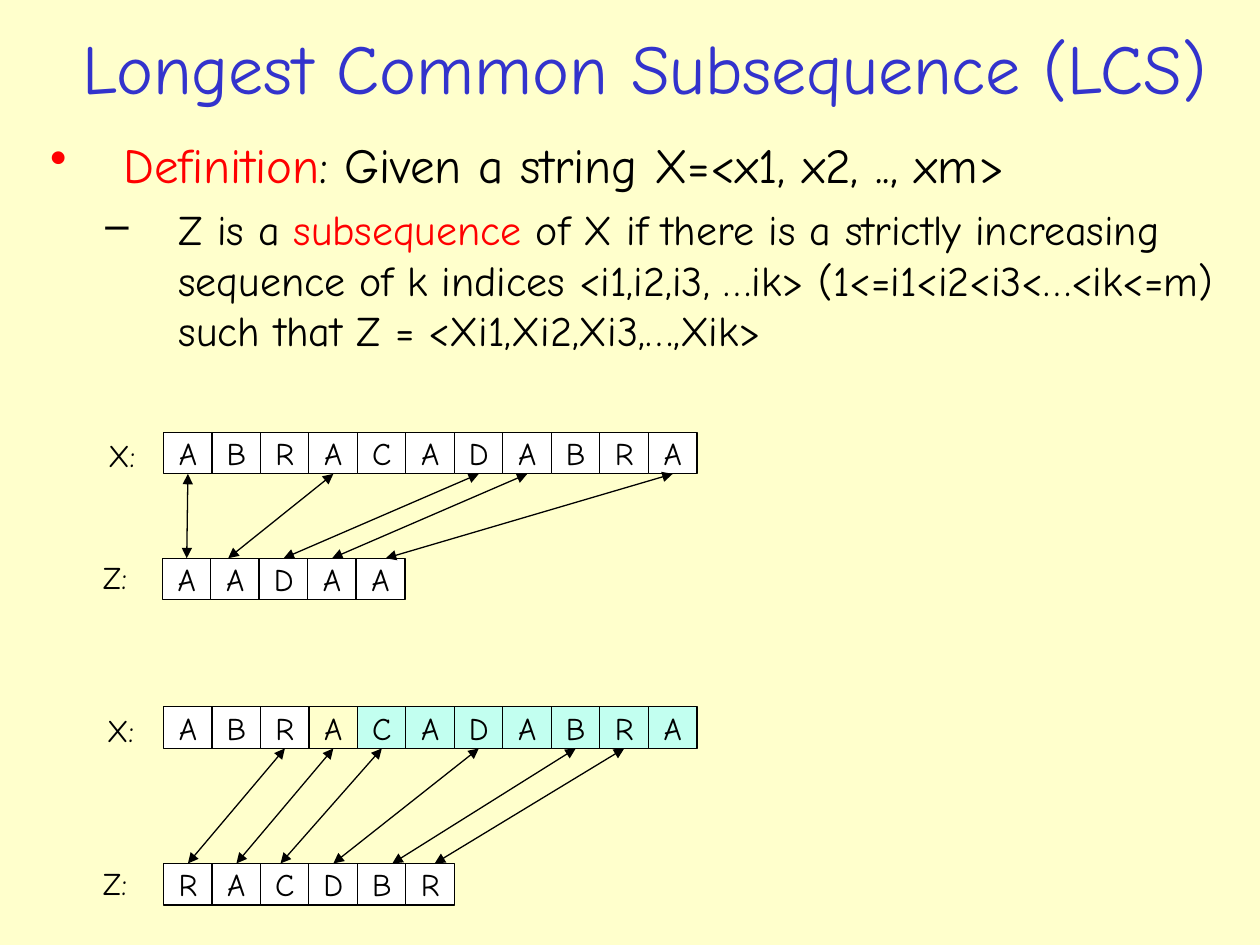
"""Build the slide defining a subsequence, with two worked letter-matching examples."""
import pptx
import pptx.util
import pptx.dml.color
import pptx.enum.shapes
import pptx.enum.text
import pptx.oxml.ns
import lxml.etree

Pt = pptx.util.Pt
FONT = "Comic Neue"
PITCH, CELL_WIDTH, CELL_HEIGHT = 27.7, 28, 23.8


def rgb(value):
    return pptx.dml.color.RGBColor.from_string(value)


def add_element(parent, tag, **attributes):
    element = lxml.etree.SubElement(parent, pptx.oxml.ns.qn(tag))
    for key, value in attributes.items():
        element.set(key, value)
    return element


presentation = pptx.Presentation()
presentation.slide_width, presentation.slide_height = Pt(720), Pt(540)
slide = presentation.slides.add_slide(presentation.slide_layouts[5])
slide.background.fill.solid()
slide.background.fill.fore_color.rgb = rgb("FFFFCC")

title = slide.shapes.title
title.left, title.top, title.width, title.height = Pt(21.6), Pt(10.8), Pt(693.4), Pt(54.7)
title.text_frame.text = "Longest Common Subsequence (LCS)"
title.text_frame.vertical_anchor = pptx.enum.text.MSO_ANCHOR.MIDDLE
heading = title.text_frame.paragraphs[0]
heading.alignment = pptx.enum.text.PP_ALIGN.CENTER
heading.font.name, heading.font.size = FONT, Pt(40)
heading.font.color.rgb = rgb("3333CC")

definition = slide.shapes.add_textbox(Pt(21.6), Pt(73.4), Pt(685.4), Pt(155.5)).text_frame
definition.word_wrap = True
statements = [
    (28, 41.8, 0, "•", "FF0000",
     [("Definition", "FF0000"), (": Given a string X=<x1, x2, .., xm>", "000000")]),
    (24, 73.4, 6, "–", "000000",
     [("Z is a ", "000000"), ("subsequence", "FF0000"),
      (" of X if there is a strictly increasing sequence of k indices "
       "<i1,i2,i3, …ik> (1<=i1<i2<i3<…<ik<=m) such that Z = <Xi1,Xi2,Xi3,…,Xik>", "000000")]),
]
for level, (size, margin, space, bullet, bullet_color, pieces) in enumerate(statements):
    statement = definition.add_paragraph() if level else definition.paragraphs[0]
    statement.level = level
    statement.space_before = Pt(space)
    properties = statement._p.get_or_add_pPr()
    properties.set("marL", str(Pt(margin)))
    properties.set("indent", str(Pt(-41.8)))
    add_element(add_element(properties, "a:buClr"), "a:srgbClr", val=bullet_color)
    add_element(properties, "a:buChar", char=bullet)
    statement.font.name, statement.font.size = FONT, Pt(size)
    for words, color in pieces:
        run = statement.add_run()
        run.text = words
        run.font.color.rgb = rgb(color)

WHITE, MINT = "FFFFFF", "C2FFF0"
examples = [
    (("ABRACADABRA", 93.4, 247, [WHITE] * 11, 54.7, 245.5),
     ("AADAA", 92.7, 319, [WHITE] * 5, 51.8, 315.4),
     [(0, 0, 0), (3, 1, -4), (6, 2, 0), (7, 3, 0), (10, 4, 3)]),
    (("ABRACADABRA", 93.4, 403.9, [WHITE] * 3 + [None] + [MINT] * 7, 54, 402.5),
     ("RACDBR", 93.4, 493.4, [WHITE] * 6, 51.8, 490.3),
     [(2, 0, 0), (3, 1, 0), (4, 2, -2.5), (6, 3, 0), (8, 4, 6), (9, 5, 2.5)]),
]
for string_row, subsequence_row, matches in examples:
    rows = []
    for name, (letters, left, top, fills, name_left, name_top) in zip(
            ("X:", "Z:"), (string_row, subsequence_row)):
        row_name = slide.shapes.add_textbox(Pt(name_left), Pt(name_top), Pt(30), Pt(28.8))
        row_name.text_frame.word_wrap = False
        row_name.text_frame.margin_right = Pt(0)
        row_name.text_frame.text = name
        name_font = row_name.text_frame.paragraphs[0].font
        name_font.name, name_font.size = FONT, Pt(18)
        name_font.color.rgb = rgb("000000")

        cells = []
        for index, (letter, fill) in enumerate(zip(letters, fills)):
            cell = slide.shapes.add_shape(
                pptx.enum.shapes.MSO_SHAPE.RECTANGLE, Pt(left + index * PITCH), Pt(top),
                Pt(CELL_WIDTH), Pt(CELL_HEIGHT))
            cell.shadow.inherit = False
            if fill:
                cell.fill.solid()
                cell.fill.fore_color.rgb = rgb(fill)
            else:
                cell.fill.background()
            cell.line.color.rgb = rgb("000000")
            cell.line.width = Pt(0.75)
            cell.text_frame.word_wrap = False
            cell.text_frame.vertical_anchor = pptx.enum.text.MSO_ANCHOR.MIDDLE
            cell.text_frame.text = letter
            symbol = cell.text_frame.paragraphs[0]
            symbol.alignment = pptx.enum.text.PP_ALIGN.CENTER
            symbol.font.name, symbol.font.size = FONT, Pt(18)
            symbol.font.color.rgb = rgb("000000")
            cells.append(cell)
        rows.append(cells)

    for source_index, target_index, drift in matches:
        source, target = rows[0][source_index], rows[1][target_index]
        match = slide.shapes.add_connector(
            pptx.enum.shapes.MSO_CONNECTOR.STRAIGHT,
            source.left + source.width // 2, source.top + source.height,
            target.left + target.width // 2 + Pt(drift), target.top)
        match.begin_connect(source, 2)
        if drift == 0:
            match.end_connect(target, 0)
        match.line.color.rgb = rgb("000000")
        match.line.width = Pt(0.75)
        outline = match.line._get_or_add_ln()
        add_element(outline, "a:headEnd", type="triangle")
        add_element(outline, "a:tailEnd", type="triangle")
        add_element(match._element.spPr, "a:effectLst")

presentation.save("out.pptx")
